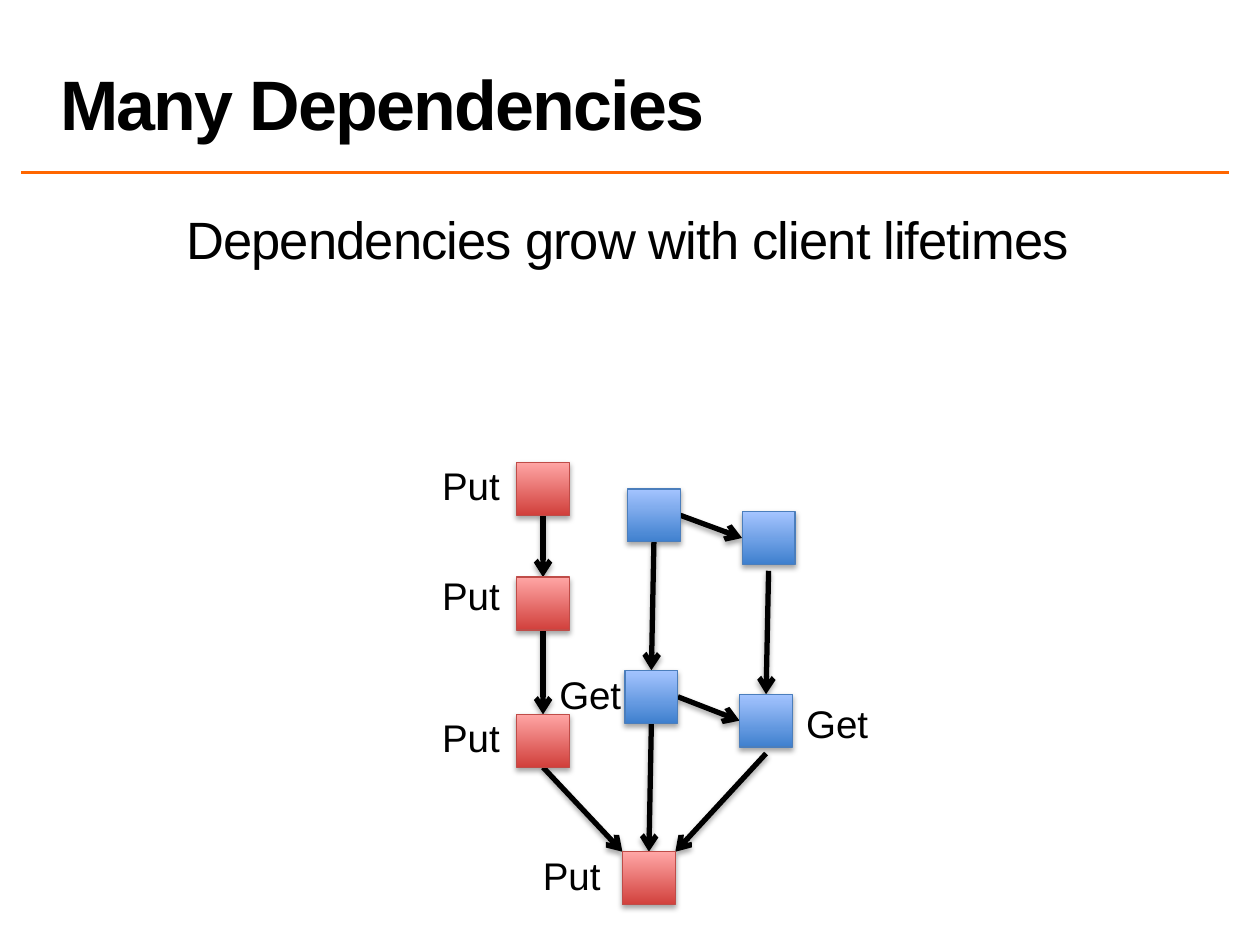
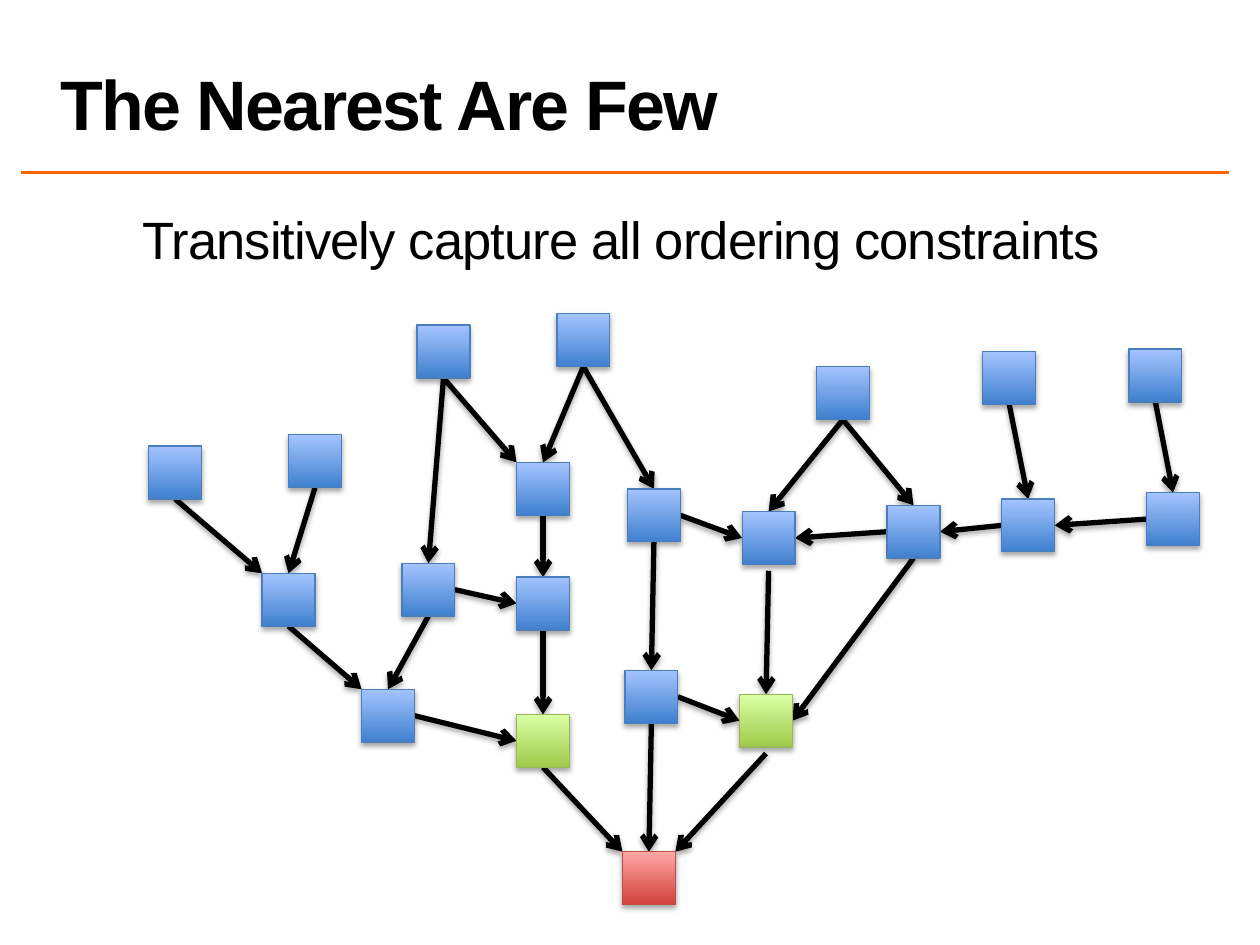
from lxml import etree
from pptx import Presentation
from pptx.dml.color import RGBColor
from pptx.enum import shapes, text
from pptx.oxml import ns
from pptx.util import Inches, Pt

FONT = "Arial"
BLACK, ORANGE = "000000", "FF6600"
# bottom of gradient, top of gradient, outline
BLUE = ("3F80CE", "A4C4FF", "4B7EBC")
RED = ("D1403C", "FFA6A5", "BF4C48")
GREEN = ("A0CA4A", "DAFFA5", "98B955")

NODE = 0.42
# Where a link meets a node, measured from the node's top left corner
SIDES = {
    "top": (NODE / 2, 0),
    "bottom": (NODE / 2, NODE),
    "below": (NODE / 2, NODE + 0.05),
    "left": (0, NODE / 2),
    "right": (NODE, NODE / 2),
    "top left": (0, 0),
    "top right": (NODE, 0),
}

# The graph near the last put, present on both slides
CORE_NODES = {
    "left 1": (4.1, 3.67), "left 2": (4.1, 4.58), "left 3": (4.1, 5.67),
    "mid 1": (4.98, 3.88), "mid 2": (4.96, 5.32),
    "right 1": (5.89, 4.06), "right 2": (5.87, 5.51),
    "last": (4.94, 6.76),
}
CORE_LINKS = [
    ("left 1", "bottom", "left 2", "top"),
    ("left 2", "bottom", "left 3", "top"),
    ("left 3", "bottom", "last", "top left"),
    ("mid 1", "bottom", "mid 2", "top"),
    ("mid 2", "bottom", "last", "top"),
    ("mid 1", "right", "right 1", "left"),
    ("mid 2", "right", "right 2", "left"),
    ("right 1", "below", "right 2", "top"),
    ("right 2", "below", "last", "top right"),
]

# Earlier operations, added on the second slide
EARLIER_NODES = {
    "west 1": (1.18, 3.54), "west 2": (2.29, 3.45), "west 3": (2.08, 4.55),
    "west 4": (3.19, 4.47), "west 5": (2.87, 5.47),
    "north 1": (3.31, 2.58), "north 2": (4.42, 2.49),
    "east 1": (6.48, 2.91), "east 2": (7.8, 2.79), "east 3": (8.96, 2.77),
    "east 4": (7.04, 4.01), "east 5": (7.95, 3.96), "east 6": (9.1, 3.91),
}
EARLIER_LINKS = [
    ("west 1", "bottom", "west 3", "top left"),
    ("west 2", "bottom", "west 3", "top"),
    ("west 3", "bottom", "west 5", "top left"),
    ("west 4", "bottom", "west 5", "top"),
    ("west 4", "right", "left 2", "left"),
    ("west 5", "right", "left 3", "left"),
    ("north 1", "bottom", "west 4", "top"),
    ("north 1", "bottom", "left 1", "top left"),
    ("north 2", "bottom", "left 1", "top"),
    ("north 2", "bottom", "mid 1", "top"),
    ("east 1", "bottom", "right 1", "top"),
    ("east 1", "bottom", "east 4", "top"),
    ("east 2", "bottom", "east 5", "top"),
    ("east 3", "bottom", "east 6", "top"),
    ("east 6", "left", "east 5", "right"),
    ("east 5", "left", "east 4", "right"),
    ("east 4", "left", "right 1", "right"),
    ("east 4", "bottom", "right 2", "right"),
]

OPERATION_LABELS = [
    ("Put", 3.41, 3.62), ("Put", 3.41, 4.49), ("Put", 3.41, 5.62),
    ("Put", 4.21, 6.71), ("Get", 4.34, 5.28), ("Get", 6.3, 5.51),
]


def color(hex_string):
    return RGBColor.from_string(hex_string)


def add_effects(properties):
    """Return the effect list of the shape properties, adding it if missing."""
    effects = properties.find(ns.qn("a:effectLst"))
    if effects is None:
        effects = etree.SubElement(properties, ns.qn("a:effectLst"))
    return effects


def add_soft_shadow(properties):
    shadow = etree.SubElement(
        add_effects(properties), ns.qn("a:outerShdw"), blurRad=str(Pt(3.1)),
        dist=str(Pt(1.8)), dir="5400000", rotWithShape="0")
    tint = etree.SubElement(shadow, ns.qn("a:srgbClr"), val=BLACK)
    etree.SubElement(tint, ns.qn("a:alpha"), val="35000")


def add_line(slide, start, end, hex_string, width):
    line = slide.shapes.add_connector(
        shapes.MSO_CONNECTOR.STRAIGHT, *map(Inches, (*start, *end)))
    line.line.color.rgb = color(hex_string)
    line.line.width = Pt(width)
    add_effects(line._element.spPr)
    return line


def add_text(slide, box, words, size, spacing=0, bold=False):
    frame = slide.shapes.add_textbox(*map(Inches, box)).text_frame
    frame.text = words
    run = frame.paragraphs[0].runs[0]
    run.font.name, run.font.size, run.font.bold = FONT, Pt(size), bold
    run.font.color.rgb = color(BLACK)
    if spacing:
        run._r.get_or_add_rPr().set("spc", str(int(spacing * 100)))
    return frame


def add_heading(slide, title, statement):
    add_line(slide, (0.17, 1.37), (9.75, 1.37), ORANGE, 2)

    heading = add_text(slide, (0.38, 0.02, 9.37, 1.17), title, 40, -1, True)
    heading.word_wrap = True
    heading.vertical_anchor = text.MSO_ANCHOR.BOTTOM
    heading.paragraphs[0].line_spacing = 0.8

    body = add_text(slide, (-0.02, 1.55, 10, 0.77), statement, 30, -0.5)
    body.word_wrap = True
    body.margin_left = body.margin_right = body.margin_bottom = Inches(0.04)
    body.margin_top = Inches(0.09)
    body.paragraphs[0].alignment = text.PP_ALIGN.CENTER


def add_node(slide, corner, palette):
    bottom, top, outline = palette
    node = slide.shapes.add_shape(
        shapes.MSO_SHAPE.RECTANGLE, *map(Inches, (*corner, NODE, NODE)))
    node.fill.gradient()
    node.fill.gradient_angle = 90
    for stop, shade in zip(node.fill.gradient_stops, (bottom, top)):
        stop.color.rgb = color(shade)
    node.line.color.rgb = color(outline)
    node.line.width = Pt(0.75)
    node.shadow.inherit = False
    add_soft_shadow(node._element.spPr)


def add_link(slide, start, end):
    properties = add_line(slide, start, end, BLACK, 3)._element.spPr
    etree.SubElement(properties.find(ns.qn("a:ln")), ns.qn("a:tailEnd"),
                     type="arrow")
    add_soft_shadow(properties)


def add_graph(slide, nodes, links, palettes):
    """Draw links and nodes; nodes without a palette of their own are blue."""
    def anchor(name, side):
        return [a + b for a, b in zip(nodes[name], SIDES[side])]

    for source, source_side, target, target_side in links:
        add_link(slide, anchor(source, source_side), anchor(target, target_side))
    for name, corner in nodes.items():
        add_node(slide, corner, palettes.get(name, BLUE))


def new_slide(deck, title, statement):
    slide = deck.slides.add_slide(deck.slide_layouts[6])
    add_heading(slide, title, statement)
    return slide


def add_many_dependencies(deck):
    slide = new_slide(deck, "Many Dependencies",
                      "Dependencies grow with client lifetimes")
    puts = ("left 1", "left 2", "left 3", "last")
    add_graph(slide, CORE_NODES, CORE_LINKS, dict.fromkeys(puts, RED))
    for operation, left, top in OPERATION_LABELS:
        add_text(slide, (left, top, 0.72, 0.47), operation, 22)


def add_nearest_are_few(deck):
    slide = new_slide(deck, "The Nearest Are Few",
                      "Transitively capture all ordering constraints ")
    add_graph(slide, CORE_NODES | EARLIER_NODES, CORE_LINKS + EARLIER_LINKS,
              {"left 3": GREEN, "right 2": GREEN, "last": RED})


def main():
    deck = Presentation()
    deck.slide_width, deck.slide_height = Inches(10), Inches(7.5)
    add_many_dependencies(deck)
    add_nearest_are_few(deck)
    deck.save("out.pptx")


if __name__ == "__main__":
    main()
